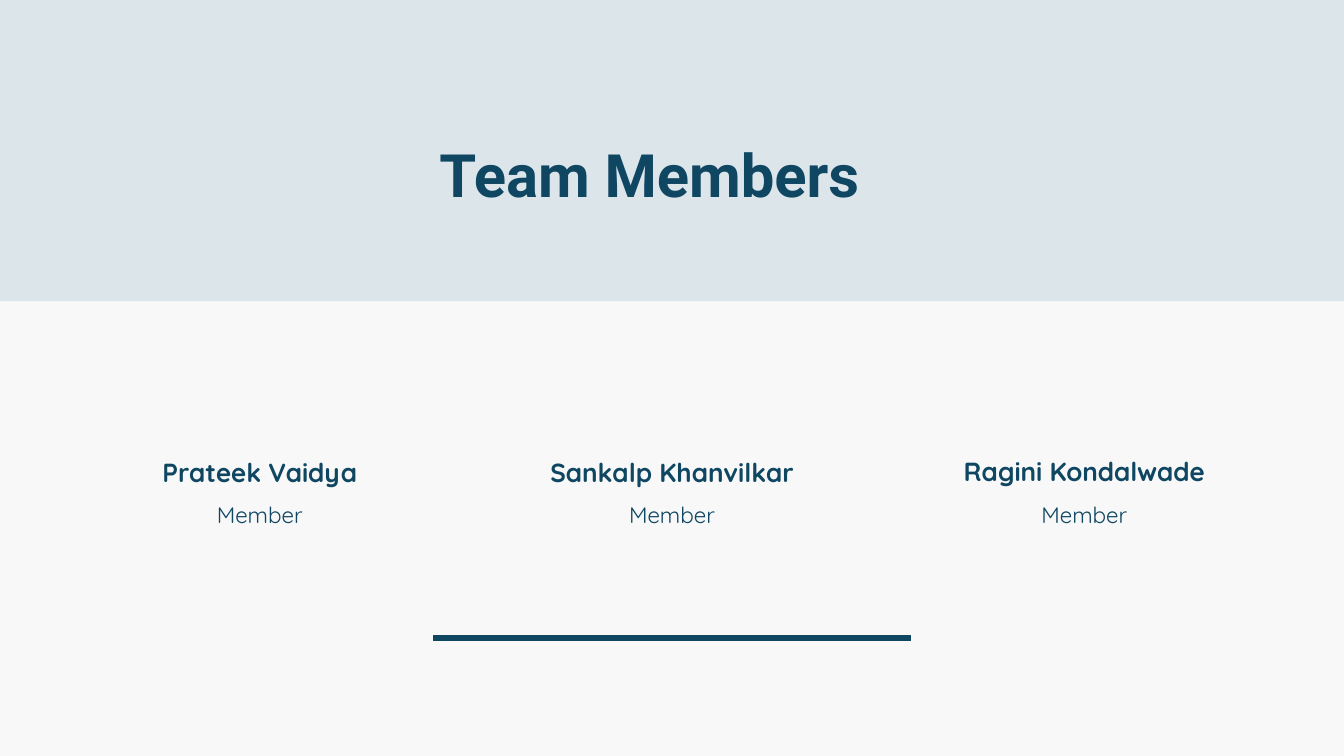
from pptx import Presentation
from pptx.dml.color import RGBColor
from pptx.enum import shapes, text
from pptx.oxml.ns import qn
from pptx.util import Pt
from lxml import etree

COLORS = {"page": "F8F8F8", "band": "DBE5EA", "navy": "0F4662"}
SLIDE_WIDTH, SLIDE_HEIGHT = 1440, 810
LINE_SPACING = 1.4
MEMBER_WIDTH, MEMBER_PITCH = 395.3, 441.7

# Name, role, top of the name
MEMBERS = [
    ("Prateek Vaidya", "Member", 483.1),
    ("Sankalp Khanvilkar", "Member", 483.1),
    ("Ragini Kondalwade", "Member", 482.4),
]


def color(key):
    return RGBColor.from_string(COLORS[key])


def add_band(slide, height):
    band = slide.shapes.add_shape(
        shapes.MSO_SHAPE.RECTANGLE, 0, 0, Pt(SLIDE_WIDTH), Pt(height))
    band.shadow.inherit = False
    band.fill.solid()
    band.fill.fore_color.rgb = color("band")
    band.line.fill.background()


def add_label(slide, wording, left, top, width, height, size, font,
              bold=False, align=text.PP_ALIGN.CENTER):
    """Add one line of navy text in a box without margins."""
    label = slide.shapes.add_textbox(Pt(left), Pt(top), Pt(width), Pt(height))
    frame = label.text_frame
    frame.word_wrap = True
    frame.auto_size = text.MSO_AUTO_SIZE.SHAPE_TO_FIT_TEXT
    frame.margin_left = frame.margin_right = 0
    frame.margin_top = frame.margin_bottom = 0
    paragraph = frame.paragraphs[0]
    paragraph.text = wording
    paragraph.alignment = align
    paragraph.line_spacing = Pt(size * LINE_SPACING)
    paragraph.font.name = font
    paragraph.font.size = Pt(size)
    paragraph.font.bold = bold
    paragraph.font.color.rgb = color("navy")


def add_member(slide, column, name, role, name_top):
    first_left = (SLIDE_WIDTH - MEMBER_WIDTH) / 2 - MEMBER_PITCH
    left = first_left + column * MEMBER_PITCH
    add_label(slide, name, left, name_top, MEMBER_WIDTH, 38.9, 28,
              "Quicksand", bold=True)
    add_label(slide, role, left, 532.1, MEMBER_WIDTH, 32.4, 24, "Quicksand")


def add_rule(slide, top, width):
    """Add a thick horizontal line centred on the slide."""
    left = (SLIDE_WIDTH - width) / 2
    rule = slide.shapes.add_connector(
        shapes.MSO_CONNECTOR.STRAIGHT,
        Pt(left), Pt(top), Pt(left + width), Pt(top))
    rule.line.color.rgb = color("navy")
    rule.line.width = Pt(6)
    etree.SubElement(rule._element.spPr, qn("a:effectLst"))


def main():
    deck = Presentation()
    deck.slide_width, deck.slide_height = Pt(SLIDE_WIDTH), Pt(SLIDE_HEIGHT)
    slide = deck.slides.add_slide(deck.slide_layouts[6])
    slide.background.fill.solid()
    slide.background.fill.fore_color.rgb = color("page")

    add_band(slide, 322.6)
    add_label(slide, "Team Members", 470.9, 134.6, 498.2, 85.7, 64, "Roboto",
              bold=True, align=text.PP_ALIGN.LEFT)
    for column, member in enumerate(MEMBERS):
        add_member(slide, column, *member)
    add_rule(slide, 683.3, 511.2)
    deck.save("out.pptx")


if __name__ == "__main__":
    main()
